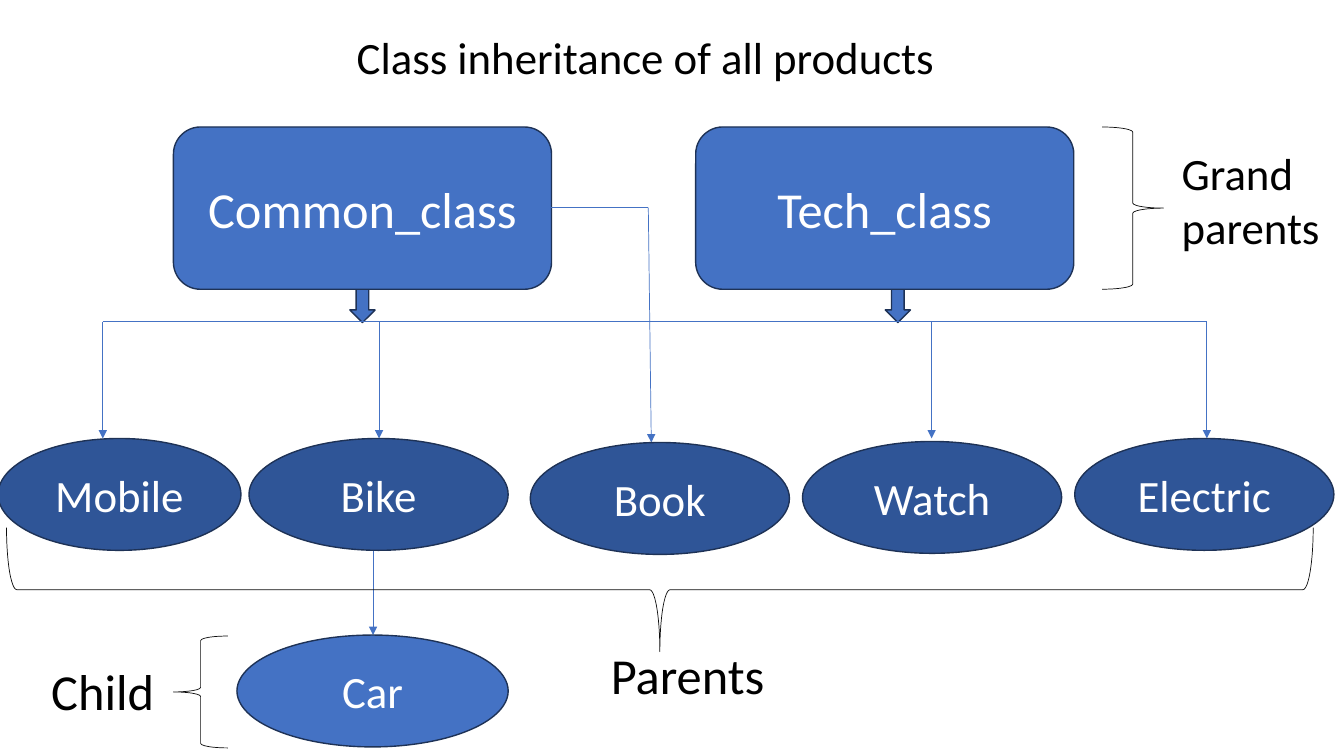
import pptx
import pptx.dml.color
import pptx.enum.shapes
import pptx.enum.text
import pptx.util
from lxml import etree
from pptx.oxml.ns import qn

Inches = pptx.util.Inches
Shape = pptx.enum.shapes.MSO_SHAPE
Align = pptx.enum.text.PP_ALIGN
Anchor = pptx.enum.text.MSO_ANCHOR

BLUE, DARK_BLUE, OUTLINE = "4472C4", "2F5597", "1E3256"
BLACK, WHITE, BRACE = "000000", "FFFFFF", "0D0D0D"


def color(code):
    return pptx.dml.color.RGBColor.from_string(code)


def write(frame, text, size=32, ink=BLACK, align=Align.LEFT, anchor=Anchor.TOP):
    frame.word_wrap = True
    frame.vertical_anchor = anchor
    para = frame.paragraphs[0]
    para.alignment = align
    span = para.add_run()
    span.text = text
    span.font.name = "Calibri"
    span.font.size = pptx.util.Pt(size)
    span.font.color.rgb = color(ink)


class Diagram:
    def __init__(self, page):
        self.page = page

    def outline(self, kind, box, ink, weight):
        """Add an unfilled preset shape with a plain outline."""
        shape = self.page.shapes.add_shape(kind, *map(Inches, box))
        shape.shadow.inherit = False
        shape.fill.background()
        shape.line.color.rgb = color(ink)
        shape.line.width = pptx.util.Pt(weight)
        return shape

    def node(self, kind, box, fill=BLUE, text="", size=32):
        shape = self.outline(kind, box, OUTLINE, 1)
        shape.fill.solid()
        shape.fill.fore_color.rgb = color(fill)
        if text:
            write(shape.text_frame, text, size, WHITE, Align.CENTER, Anchor.MIDDLE)

    def brace(self, kind, box, rotation=0):
        self.outline(kind, box, BRACE, 0.5).rotation = rotation

    def line(self, start, end, arrow=True):
        connector = self.page.shapes.add_connector(
            pptx.enum.shapes.MSO_CONNECTOR.STRAIGHT, *map(Inches, start + end))
        connector.line.color.rgb = color(BLUE)
        connector.line.width = pptx.util.Pt(0.5)
        if arrow:
            outline = connector.line._get_or_add_ln()
            etree.SubElement(outline, qn("a:tailEnd"), type="triangle")
        etree.SubElement(connector._element.spPr, qn("a:effectLst"))

    def label(self, box, text, **style):
        frame = self.page.shapes.add_textbox(*map(Inches, box)).text_frame
        write(frame, text, **style)


def main():
    deck = pptx.Presentation()
    deck.slide_width, deck.slide_height = Inches(13.33), Inches(7.5)
    diagram = Diagram(deck.slides.add_slide(deck.slide_layouts[6]))

    bus_y, parent_top, child_top = 3.19, 4.35, 6.3
    parent_height = 1.11
    grand_top, grand_height = 1.26, 1.61

    # Grandparents feed the shared line through block arrows
    for name, left, arrow_left in (("Common_class", 1.72, 3.47),
                                   ("Tech_class", 6.9, 8.78)):
        diagram.node(Shape.DOWN_ARROW, (arrow_left, 2.55, 0.25, 0.65))
        diagram.node(Shape.ROUNDED_RECTANGLE,
                     (left, grand_top, 3.75, grand_height), text=name, size=36)

    # Shared line, its drops, and the branches to Book and Car
    drops = (1.02, 3.76, 9.24, 11.97)
    diagram.line((drops[0], bus_y), (drops[-1], bus_y), arrow=False)
    for x in drops:
        diagram.line((x, bus_y), (x, parent_top))
    diagram.line((6.43, 2.06), (5.47, 2.06), arrow=False)
    diagram.line((6.43, 2.06), (6.46, 4.39))
    diagram.line((3.7, 5.14), (3.7, child_top))

    # Parents and child
    for name, left, top, width in (("Mobile", -0.02, parent_top, 2.41),
                                   ("Bike", 2.47, parent_top, 2.57),
                                   ("Book", 5.26, 4.39, 2.57),
                                   ("Watch", 7.96, 4.38, 2.57),
                                   ("Electric", 10.66, parent_top, 2.57)):
        diagram.node(Shape.OVAL, (left, top, width, parent_height), DARK_BLUE, name)
    diagram.node(Shape.OVAL, (2.35, child_top, 2.69, parent_height), text="Car")

    # Generation braces and labels
    diagram.brace(Shape.RIGHT_BRACE, (10.93, grand_top, 0.61, grand_height))
    diagram.brace(Shape.LEFT_BRACE, (5.93, -0.63, 1.23, 12.96), rotation=270)
    diagram.brace(Shape.LEFT_BRACE, (1.72, 6.31, 0.54, parent_height))
    diagram.label((0.84, 0.25, 11.13, 0.64), "Class inheritance of all products",
                  align=Align.CENTER)
    diagram.label((11.62, 1.4, 1.72, 1.18), "Grand parents")
    diagram.label((5.96, 6.34, 2.94, 0.71), "Parents", size=36)
    diagram.label((0.41, 6.5, 1.55, 0.71), "Child", size=36)

    deck.save("out.pptx")


if __name__ == "__main__":
    main()
